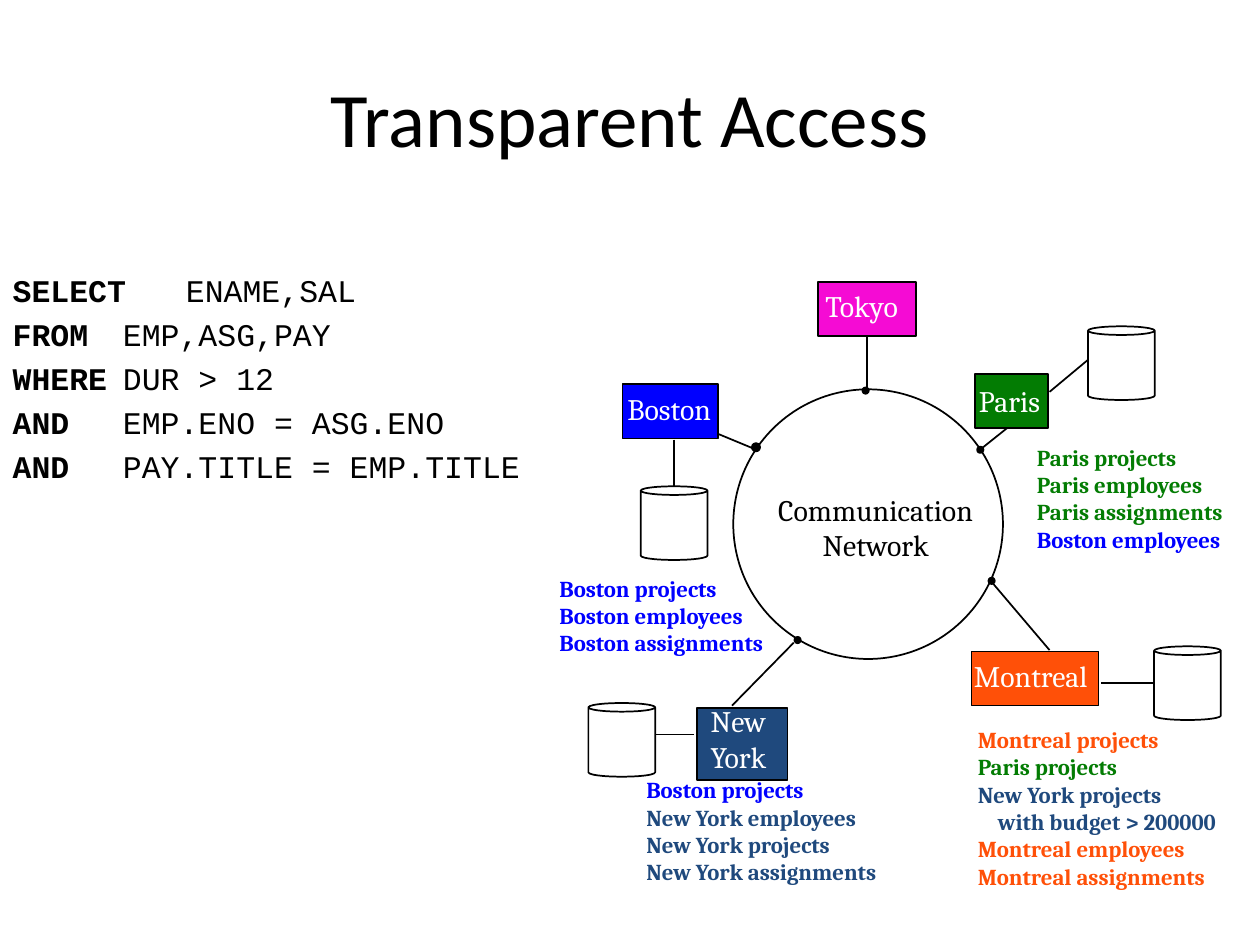
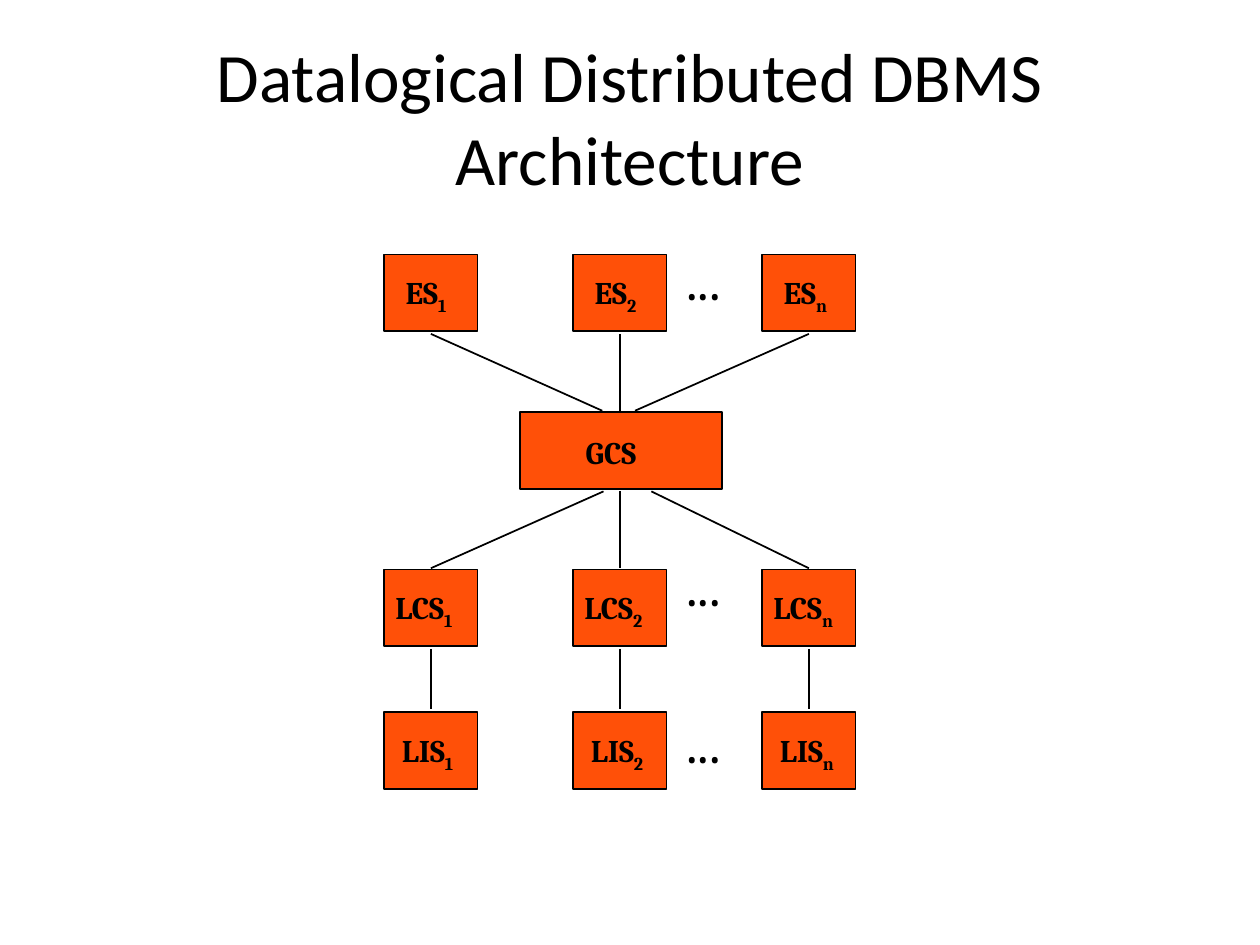
import pptx
import pptx.dml.color
import pptx.enum.shapes
import pptx.enum.text
import pptx.oxml
import pptx.oxml.ns
import pptx.util

COLORS = {
    "black": "000000", "white": "FFFFFF", "blue": "0000FF", "green": "037C03",
    "orange": "FF5008", "navy": "1F497D", "pink": "F50BD4",
}
SHAPES = pptx.enum.shapes.MSO_SHAPE
ALIGN = pptx.enum.text.PP_ALIGN
FIT = pptx.enum.text.MSO_AUTO_SIZE
COLS, ROWS = 100, 75  # grid over the whole slide


class Deck:
    """Holds the style, the presentation and the current slide."""

    title_font, label_font, code_font = "Calibri", "Cambria", "Courier New"

    def __init__(self):
        self.prs = pptx.Presentation()
        self.prs.slide_width = pptx.util.Inches(10)
        self.prs.slide_height = pptx.util.Inches(7.5)

    def x(self, col):
        return round(self.prs.slide_width * col / COLS)

    def y(self, row):
        return round(self.prs.slide_height * row / ROWS)

    def box(self, col, row, cols, rows):
        return self.x(col), self.y(row), self.x(cols), self.y(rows)

    def color(self, name):
        return pptx.dml.color.RGBColor.from_string(COLORS[name])

    def run(self, p, text, font, size, color="black", bold=False, sub=False):
        r = p.add_run()
        r.text = text
        r.font.name = font
        r.font.size = pptx.util.Pt(size)
        r.font.bold = bold
        r.font.color.rgb = self.color(color)
        if sub:
            r._r.get_or_add_rPr().set("baseline", "-25000")

    def indent(self, p, left, first=0):
        pPr = p._p.get_or_add_pPr()
        pPr.set("marL", str(self.x(left)))
        pPr.set("indent", str(self.x(first)))
        return pPr

    def slide(self, title, size, layout):
        self.s = self.prs.slides.add_slide(self.prs.slide_layouts[layout])
        tf = self.s.shapes.title.text_frame
        tf.auto_size = FIT.NONE
        tf.vertical_anchor = pptx.enum.text.MSO_ANCHOR.MIDDLE
        p = tf.paragraphs[0]
        p.alignment = ALIGN.CENTER
        self.run(p, title, self.title_font, size)

    def code(self, at, clauses, tab):
        """Body list of keyword and operand, split by a tab stop."""
        sp = self.s.placeholders[1]
        sp.left, sp.top, sp.width, sp.height = self.box(*at)
        tf = sp.text_frame
        tf.auto_size = FIT.NONE
        for i, (keyword, operand) in enumerate(clauses):
            p = tf.add_paragraph() if i else tf.paragraphs[0]
            pPr = self.indent(p, 3.75, -3.75)
            ns = pptx.oxml.ns.nsdecls("a")
            pPr.append(pptx.oxml.parse_xml(f"<a:buNone {ns}/>"))
            pPr.append(pptx.oxml.parse_xml(
                f'<a:tabLst {ns}><a:tab pos="{self.x(tab)}" algn="l"/></a:tabLst>'))
            self.run(p, keyword, self.code_font, 18, bold=True)
            self.run(p, "\t" + operand, self.code_font, 18)

    def text(self, at, lines, size, inset=(0.7, 0.3), align=None, bold=False):
        """Each line is a list of (text, color, subscript) runs."""
        sp = self.s.shapes.add_textbox(*self.box(*at))
        tf = sp.text_frame
        tf.word_wrap = False
        tf.auto_size = FIT.SHAPE_TO_FIT_TEXT
        tf.margin_left = tf.margin_right = self.x(inset[0])
        tf.margin_top = tf.margin_bottom = self.y(inset[1])
        for i, runs in enumerate(lines):
            p = tf.add_paragraph() if i else tf.paragraphs[0]
            p.alignment = align
            for text, color, sub in runs:
                self.run(p, text, self.label_font, size, color, bold, sub)
        return tf

    def shape(self, kind, at, fill):
        sp = self.s.shapes.add_shape(kind, *self.box(*at))
        sp.shadow.inherit = False
        sp.fill.solid()
        sp.fill.fore_color.rgb = self.color(fill)
        sp.line.color.rgb = self.color("black")
        sp.line.width = pptx.util.Pt(1)
        return sp

    def dot(self, col, row, size=0.5):
        self.shape(SHAPES.OVAL, (col - size / 2, row - size / 2, size, size), "black")

    def database(self, col, row):
        sp = self.shape(SHAPES.CAN, (col, row, 5.3, 5.85), "white")
        sp.adjustments[0] = 0.13

    def line(self, x1, y1, x2, y2):
        cn = self.s.shapes.add_connector(
            pptx.enum.shapes.MSO_CONNECTOR.STRAIGHT,
            self.x(x1), self.y(y1), self.x(x2), self.y(y2))
        cn.line.color.rgb = self.color("black")
        cn.line.width = pptx.util.Pt(1)
        cn._element.spPr.append(
            pptx.oxml.parse_xml(f"<a:effectLst {pptx.oxml.ns.nsdecls('a')}/>"))


def transparent_access(deck):
    deck.slide("Transparent Access", 44, layout=1)

    # Query
    deck.code((0, 21, 45.2, 20.4), [
        ("SELECT", "ENAME,SAL"),
        ("FROM", "EMP,ASG,PAY"),
        ("WHERE", "DUR > 12"),
        ("AND", "EMP.ENO = ASG.ENO"),
        ("AND", "PAY.TITLE = EMP.TITLE"),
    ], tab=10.1)

    # Network
    deck.shape(SHAPES.OVAL, (58.2, 30.9, 21.4, 21.4), "white")
    deck.text((60.3, 38.7, 18.4, 6.4),
              [[(word, "black", False)] for word in ("Communication", "Network")],
              17, align=ALIGN.CENTER)

    # Links from sites to the network and to their databases
    for link in [
        (63, 51, 58.1, 56), (59.8, 35.6, 56.9, 34.4), (78.8, 46.3, 83.3, 51.6),
        (68.8, 26.6, 68.8, 30.9), (77.9, 35.6, 79.9, 34),
        (52.1, 58.3, 55.1, 58.3), (87.4, 54.2, 91.7, 54.2),
        (83.3, 31.1, 86.3, 28.6), (53.5, 34.9, 53.5, 38.7),
    ]:
        deck.line(*link)
    for col, row in [(68.7, 31), (77.8, 35.7), (78.7, 46.1), (63.3, 50.8)]:
        deck.dot(col, row)
    deck.dot(60, 35.5, 0.65)

    # Sites: name, colour, box, label position
    for name, color, at, label in [
        ("Tokyo", "pink", (64.9, 22.4, 7.8, 4.3), (64.8, 22.5, 7.8, 3.5)),
        ("Boston", "blue", (49.4, 30.5, 7.6, 4.3), (49.1, 30.7, 8.6, 3.5)),
        ("Paris", "green", (77.4, 29.7, 5.8, 4.3), (77, 30.1, 6.6, 3.5)),
        ("Montreal", "orange", (77.1, 51.7, 10.1, 4.3), (76.6, 51.9, 11, 3.5)),
        ("New York", "navy", (55.3, 56.2, 7.2, 5.7), (55.7, 55.5, 6.5, 6.4)),
    ]:
        deck.shape(SHAPES.RECTANGLE, at, color)
        deck.text(label, [[(word, "white", False)] for word in name.split()], 17)

    # Databases
    for col, row in [(91.6, 51.3), (46.7, 55.8), (86.35, 25.9), (50.85, 38.6)]:
        deck.database(col, row)

    # Data held at each site
    for at, holdings in [
        ((81.6, 34.9, 16.5, 9.4), [
            ("Paris projects", "green"), ("Paris employees", "green"),
            ("Paris assignments", "green"), ("Boston employees", "blue")]),
        ((43.7, 45.3, 18, 7.3), [
            ("Boston projects", "blue"), ("Boston employees", "blue"),
            ("Boston assignments", "blue")]),
        ((50.6, 61.3, 20.6, 9.4), [
            ("Boston projects", "blue"), ("New York employees", "navy"),
            ("New York projects", "navy"), ("New York assignments", "navy")]),
        ((76.9, 57.3, 20.9, 13.8), [
            ("Montreal projects", "orange"), ("Paris projects", "green"),
            ("New York projects", "navy"), ("with budget > 200000", "navy"),
            ("Montreal employees", "orange"), ("Montreal assignments", "orange")]),
    ]:
        tf = deck.text(at, [[(text, color, False)] for text, color in holdings],
                       13, bold=True)
        for p in tf.paragraphs:
            if p.text.startswith("with"):
                deck.indent(p, 1.6)


def datalogical_architecture(deck):
    deck.slide("Datalogical Distributed DBMS Architecture", 39.6, layout=5)
    first, step, width, height = 30.5, 15, 7.4, 6.1
    inset = (1, 0.5)
    lefts = [first + step * i for i in range(3)]
    mids = [left + width / 2 for left in lefts]

    # Schema layers: name, top, label offset, label width, top of the ellipsis
    for name, top, shift, label_width, dots_top in [
        ("ES", 20.2, 0.7, 6.1, 18.9),
        ("LCS", 45.2, -0.1, 8, 43.2),
        ("LIS", 56.5, 0.4, 7.1, 55.7),
    ]:
        for left, index in zip(lefts, "12n"):
            deck.shape(SHAPES.RECTANGLE, (left, top, width, height), "orange")
            deck.text((left + shift, top + 1, label_width, 4.1),
                      [[(name, "black", False), (index, "black", True)]],
                      18, inset, bold=True)
        deck.text((53.5, dots_top, 5.4, 6.4), [[("...", "black", False)]], 32, inset)

    # Global conceptual schema
    deck.shape(SHAPES.RECTANGLE, (41.3, 32.7, 16, height), "orange")
    deck.text((45.5, 33.9, 7.5, 4), [[("GCS", "black", False)]], 18, inset, bold=True)

    # Mappings between layers
    for mid, upper, lower in zip(mids, (47.8, 49.2, 50.4), (47.9, 49.2, 51.7)):
        deck.line(mid, 26.5, upper, 32.6)
        deck.line(lower, 39, mid, 45.1)
        deck.line(mid, 51.5, mid, 56.3)


def main():
    deck = Deck()
    transparent_access(deck)
    datalogical_architecture(deck)
    deck.prs.save("out.pptx")


if __name__ == "__main__":
    main()
